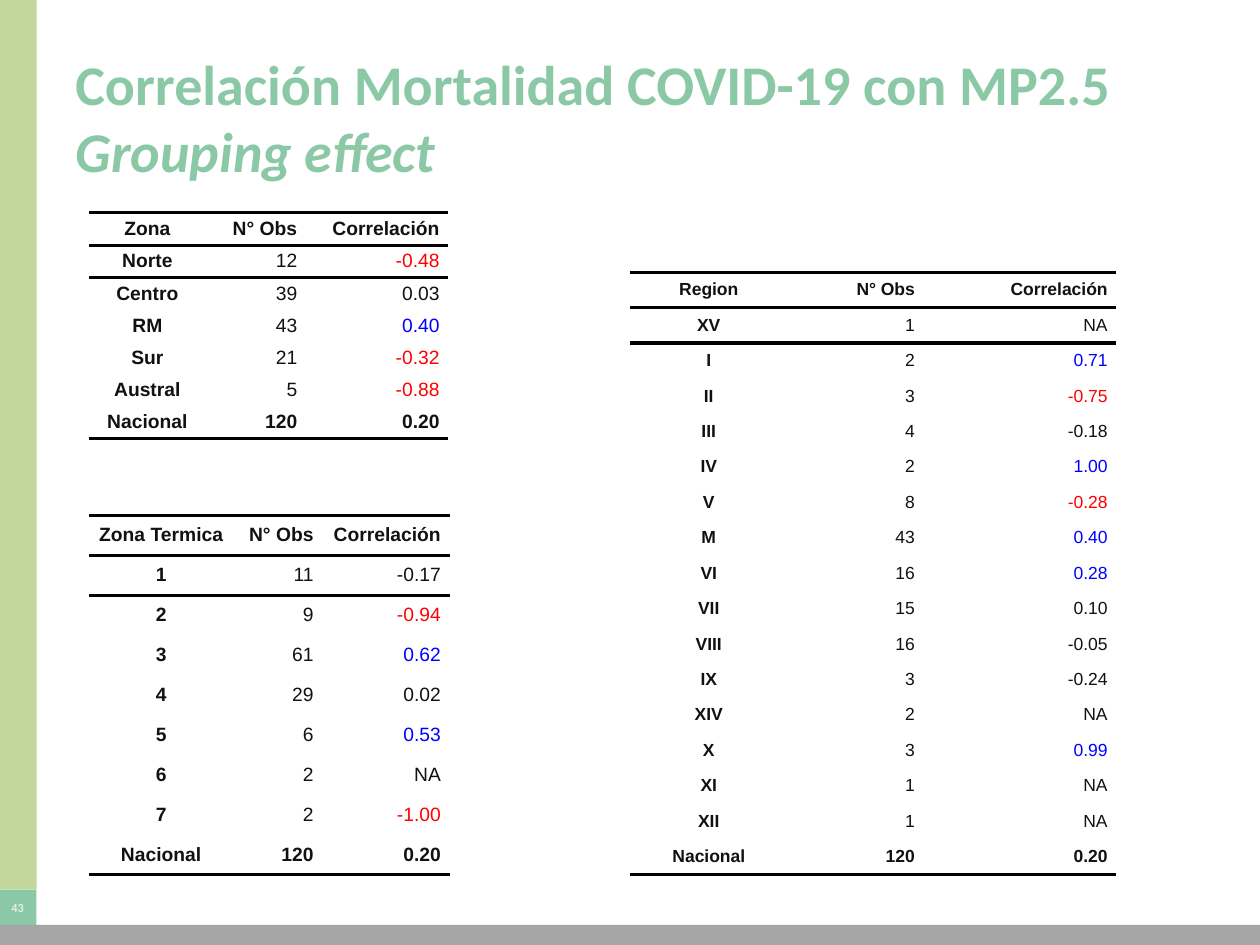
from dataclasses import dataclass

import lxml.etree
import pptx
import pptx.dml.color
import pptx.enum.shapes
import pptx.enum.text
import pptx.oxml.ns
import pptx.util

Inches = pptx.util.Inches
Pt = pptx.util.Pt
Align = pptx.enum.text.PP_ALIGN
Anchor = pptx.enum.text.MSO_ANCHOR
qn = pptx.oxml.ns.qn

GREEN = "8BC8A6"
INK = "111111"
POSITIVE = "0000FF"
NEGATIVE = "FF0000"
THRESHOLD = 0.25
NO_STYLE = "{2D5ABB26-0587-4C30-8999-92F81FD0307C}"


@dataclass
class Band:
    left: float
    top: float
    width: float
    height: float
    fill: str


@dataclass
class CorrelationTable:
    grouping: str
    left: float
    top: float
    height: float
    columns: tuple[float, ...]
    size: int
    groups: list[tuple[str, str, str]]


SIDE_BAND = Band(0, 0, 0.29, 7.06, "C3D69B")
NUMBER_BAND = Band(-0.01, 7.06, 0.3, 0.29, GREEN)
FOOTER_BAND = Band(-0.01, 7.34, 10.03, 0.16, "A6A6A6")

TABLES = [
    CorrelationTable("Region", 5, 2.16, 4.78, (1.25, 1.08, 1.53), 10, [
        ("XV", "1", "NA"),
        ("I", "2", "0.71"),
        ("II", "3", "-0.75"),
        ("III", "4", "-0.18"),
        ("IV", "2", "1.00"),
        ("V", "8", "-0.28"),
        ("M", "43", "0.40"),
        ("VI", "16", "0.28"),
        ("VII", "15", "0.10"),
        ("VIII", "16", "-0.05"),
        ("IX", "3", "-0.24"),
        ("XIV", "2", "NA"),
        ("X", "3", "0.99"),
        ("XI", "1", "NA"),
        ("XII", "1", "NA"),
    ]),
    CorrelationTable("Zona", 0.71, 1.69, 1.79, (0.92, 0.8, 1.13), 11, [
        ("Norte", "12", "-0.48"),
        ("Centro", "39", "0.03"),
        ("RM", "43", "0.40"),
        ("Sur", "21", "-0.32"),
        ("Austral", "5", "-0.88"),
    ]),
    CorrelationTable("Zona Termica", 0.71, 4.09, 2.85, (1.14, 0.71, 1.01), 11, [
        ("1", "11", "-0.17"),
        ("2", "9", "-0.94"),
        ("3", "61", "0.62"),
        ("4", "29", "0.02"),
        ("5", "6", "0.53"),
        ("6", "2", "NA"),
        ("7", "2", "-1.00"),
    ]),
]


def color(code: str):
    return pptx.dml.color.RGBColor.from_string(code)


def add_run(paragraph, text: str, size: int, font: str, ink: str, bold=True, italic=False):
    run = paragraph.add_run()
    run.text = text
    run.font.size = Pt(size)
    run.font.name = font
    run.font.color.rgb = color(ink)
    run.font.bold = bold
    run.font.italic = italic


def add_band(slide, band: Band):
    shape = slide.shapes.add_shape(
        pptx.enum.shapes.MSO_SHAPE.RECTANGLE,
        Inches(band.left), Inches(band.top), Inches(band.width), Inches(band.height))
    shape.shadow.inherit = False
    shape.fill.solid()
    shape.fill.fore_color.rgb = color(band.fill)
    shape.line.fill.background()
    return shape


def add_slide_number(slide, number: str):
    frame = add_band(slide, NUMBER_BAND).text_frame
    frame.margin_left = frame.margin_right = 0
    frame.margin_top = frame.margin_bottom = 0
    frame.vertical_anchor = Anchor.MIDDLE
    paragraph = frame.paragraphs[0]
    paragraph.alignment = Align.CENTER
    paragraph.space_after = Pt(6)
    add_run(paragraph, number, 7, "Calibri", "ECECEC")


def add_title(slide, heading: str, subheading: str):
    frame = slide.shapes.add_textbox(
        Inches(0.5), Inches(0.3), Inches(9), Inches(1.25)).text_frame
    frame.word_wrap = True
    frame.vertical_anchor = Anchor.MIDDLE
    paragraph = frame.paragraphs[0]
    add_run(paragraph, heading, 32, "Calibri", GREEN)
    paragraph.add_line_break()
    add_run(paragraph, subheading, 32, "Calibri", GREEN, italic=True)


def rule_cell(cell, sides: list[str]):
    properties = cell._tc.get_or_add_tcPr()
    for position, side in enumerate(sides):
        line = lxml.etree.Element(qn(f"a:{side}"), w=str(Pt(2)))
        fill = lxml.etree.SubElement(line, qn("a:solidFill"))
        lxml.etree.SubElement(fill, qn("a:srgbClr"), val="000000")
        properties.insert(position, line)


def correlation_ink(value: str) -> str:
    if value == "NA" or abs(float(value)) < THRESHOLD:
        return INK
    return POSITIVE if float(value) > 0 else NEGATIVE


def add_correlation_table(slide, data: CorrelationTable):
    rows = [(data.grouping, "N° Obs", "Correlación"), *data.groups,
            ("Nacional", "120", "0.20")]
    last = len(rows) - 1
    table = slide.shapes.add_table(
        len(rows), len(data.columns), Inches(data.left), Inches(data.top),
        Inches(sum(data.columns)), Inches(data.height)).table
    table.first_row = table.horz_banding = False
    table._tbl.tblPr.find(qn("a:tableStyleId")).text = NO_STYLE
    for column, width in zip(table.columns, data.columns):
        column.width = Inches(width)
    for index, values in enumerate(rows):
        table.rows[index].height = Inches(data.height / len(rows))
        sides = {0: ["lnT", "lnB"], 1: ["lnT"], last: ["lnB"]}.get(index, [])
        for place, value in enumerate(values):
            cell = table.cell(index, place)
            cell.margin_left = cell.margin_right = 0
            cell.margin_top = cell.margin_bottom = 0
            cell.vertical_anchor = Anchor.MIDDLE
            cell.fill.background()
            rule_cell(cell, sides)
            paragraph = cell.text_frame.paragraphs[0]
            paragraph.alignment = Align.RIGHT if place else Align.CENTER
            paragraph.space_before = paragraph.space_after = Pt(2)
            indents = paragraph._p.get_or_add_pPr()
            for edge in ("marL", "marR"):
                indents.set(edge, str(Inches(0.07)))
            is_result = place == 2 and index > 0
            add_run(paragraph, value, data.size, "Arial",
                    correlation_ink(value) if is_result else INK,
                    bold=place == 0 or index in (0, last))


def main():
    deck = pptx.Presentation()
    deck.slide_width = Inches(10)
    deck.slide_height = Inches(7.5)
    slide = deck.slides.add_slide(deck.slide_layouts[6])
    add_band(slide, SIDE_BAND)
    add_slide_number(slide, "43")
    add_band(slide, FOOTER_BAND)
    add_title(slide, "Correlación Mortalidad COVID-19 con MP2.5", "Grouping effect")
    for data in TABLES:
        add_correlation_table(slide, data)
    deck.save("out.pptx")


if __name__ == "__main__":
    main()
